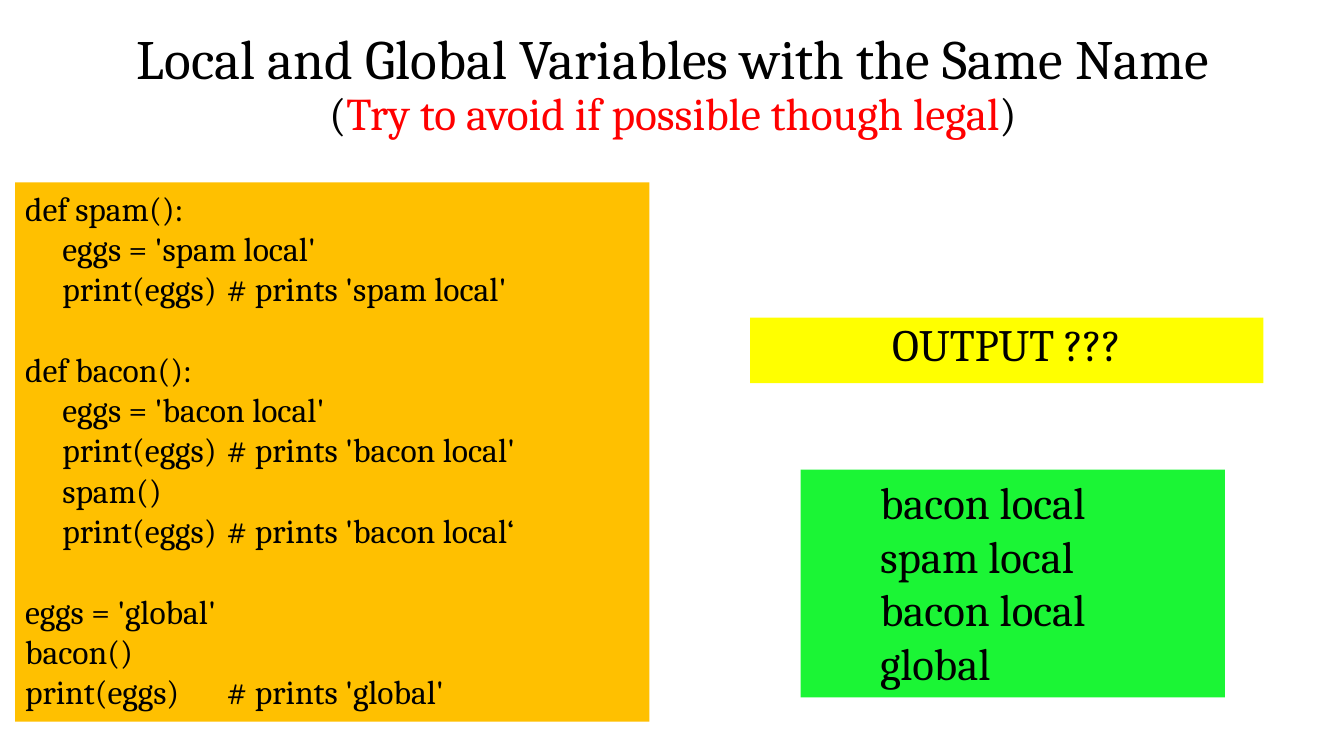
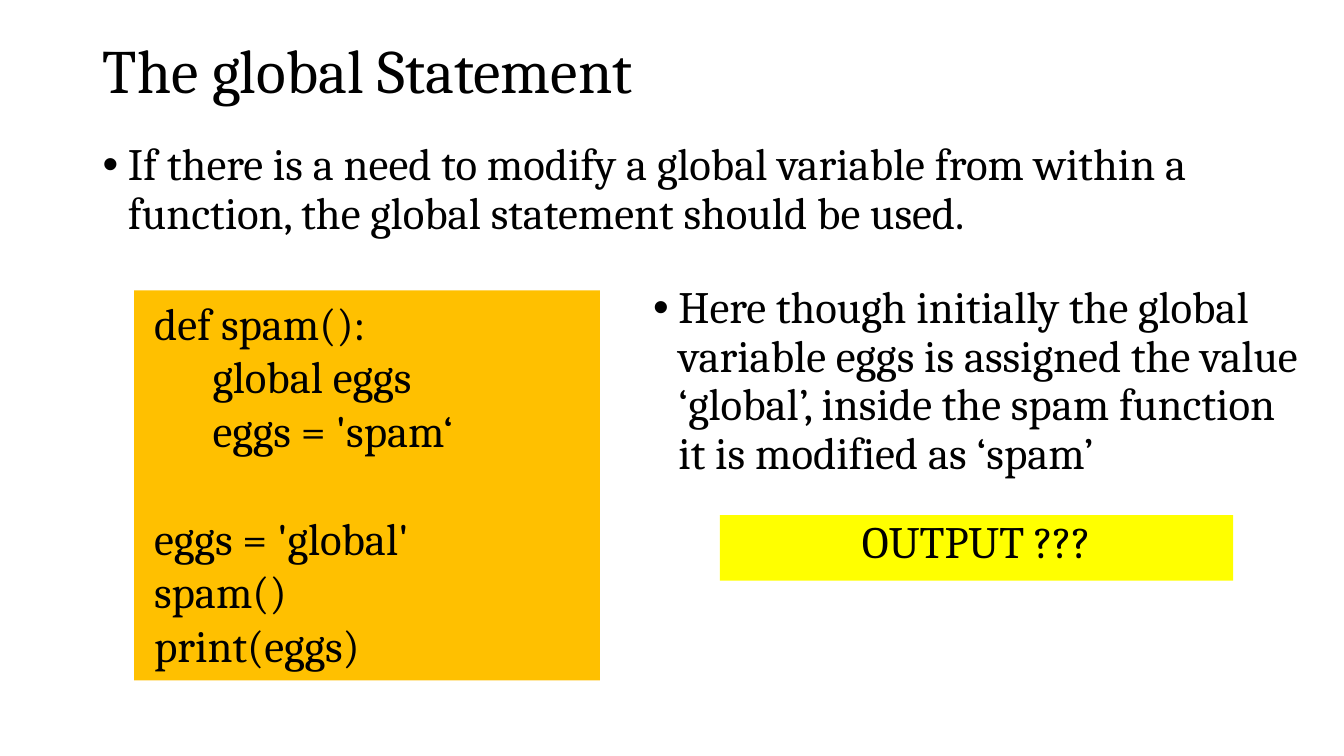
from dataclasses import dataclass

from lxml import etree
from pptx import Presentation
from pptx import util as u
from pptx.dml.color import RGBColor
from pptx.enum import shapes, text
from pptx.oxml.ns import qn

Inches, Pt = u.Inches, u.Pt
Align = text.PP_ALIGN


@dataclass(frozen=True)
class Theme:
    font: str = "Cambria"
    ink: str = "000000"
    alert: str = "FF0000"
    code: str = "FFC000"
    ask: str = "FFFF00"
    result: str = "1BF535"
    head: float = 44
    lead: float = 39.6
    note: float = 32.4
    body: float = 32
    small: float = 24
    tight: float = 0.9
    line: float = 1.2


T = Theme()


def place(shape, box):
    shape.left, shape.top, shape.width, shape.height = map(Inches, box)


def add_run(para, words, size, color=T.ink):
    run = para.add_run()
    run.text = words
    run.font.name = T.font
    run.font.size = Pt(size)
    run.font.color.rgb = RGBColor.from_string(color)


def setup(frame, anchor):
    frame.word_wrap = True
    frame.auto_size = text.MSO_AUTO_SIZE.NONE
    frame.vertical_anchor = anchor
    frame.margin_left = frame.margin_right = Inches(0.1)
    frame.margin_top = frame.margin_bottom = Inches(0.05)


def add_title(slide, box, lines, align):
    title = slide.shapes.title
    place(title, box)
    setup(title.text_frame, text.MSO_ANCHOR.MIDDLE)
    para = title.text_frame.paragraphs[0]
    para.alignment = align
    para.line_spacing = T.tight
    for row, runs in enumerate(lines):
        if row:
            para.add_line_break()
        for run in runs:
            add_run(para, *run)


def add_panel(slide, box, color):
    panel = slide.shapes.add_shape(shapes.MSO_SHAPE.RECTANGLE, *map(Inches, box))
    panel.shadow.inherit = False
    panel.fill.solid()
    panel.fill.fore_color.rgb = RGBColor.from_string(color)
    panel.line.fill.background()
    setup(panel.text_frame, text.MSO_ANCHOR.TOP)
    return panel.text_frame


def add_code(slide, box, color, blocks, size, base=0.0, step=0.0, tab=None):
    frame = add_panel(slide, box, color)
    rows = [(row, pos) for block in blocks for pos, row in enumerate(block)]
    for index, ((level, words), pos) in enumerate(rows):
        para = frame.add_paragraph() if index else frame.paragraphs[0]
        para.alignment = Align.LEFT
        if index and pos == 0:
            para.space_before = Pt(size * T.line)
        props = para._p.get_or_add_pPr()
        props.set("marL", "0")
        props.set("indent", str(Inches(base + level * step)))
        if tab:
            stops = etree.SubElement(props, qn("a:tabLst"))
            etree.SubElement(stops, qn("a:tab"), pos=str(Inches(tab)), algn="l")
        add_run(para, words, size)


def add_ask(slide, left, top):
    para = add_panel(slide, (left, top, 5.09, 0.65), T.ask).paragraphs[0]
    para.alignment = Align.CENTER
    para.line_spacing = T.tight
    add_run(para, "OUTPUT ???", T.body)


def add_bullet(slide, box, words):
    frame = slide.shapes.add_textbox(*map(Inches, box)).text_frame
    setup(frame, text.MSO_ANCHOR.TOP)
    para = frame.paragraphs[0]
    para.line_spacing = T.tight
    props = para._p.get_or_add_pPr()
    props.set("marL", str(Inches(0.25)))
    props.set("indent", str(Inches(-0.25)))
    color = etree.SubElement(props, qn("a:buClr"))
    etree.SubElement(color, qn("a:srgbClr"), val=T.ink)
    etree.SubElement(props, qn("a:buFont"), typeface="Arial")
    etree.SubElement(props, qn("a:buChar"), char="•")
    add_run(para, words, T.body)


def same_name(slide):
    add_title(slide, (0.28, 0.37, 12.79, 0.97), [
        [("Local and Global Variables with the Same Name", T.lead)],
        [("(", T.note),
         ("Try to avoid if possible though legal", T.note, T.alert),
         (")", T.note)],
    ], Align.CENTER)
    add_code(slide, (0.15, 1.81, 6.29, 5.35), T.code, [
        [(0, "def spam():"),
         (1, "eggs = 'spam local'"),
         (1, "print(eggs)\t# prints 'spam local'")],
        [(0, "def bacon():"),
         (1, "eggs = 'bacon local'"),
         (1, "print(eggs)\t# prints 'bacon local'"),
         (1, "spam()"),
         (1, "print(eggs)\t# prints 'bacon local‘")],
        [(0, "eggs = 'global'"),
         (0, "bacon()"),
         (0, "print(eggs)\t# prints 'global'")],
    ], T.small, step=0.37, tab=3.03)
    add_ask(slide, 7.44, 3.15)
    prints = ["bacon local", "spam local", "bacon local", "global"]
    add_code(slide, (7.94, 4.66, 4.21, 2.26), T.result,
             [[(0, words) for words in prints]], T.body, base=0.69)


def global_use(slide):
    add_title(slide, (0.92, 0.23, 11.5, 0.99),
              [[("The global Statement", T.head)]], Align.LEFT)
    add_bullet(slide, (0.92, 1.36, 11.5, 1.2),
               "If there is a need to modify a global variable from within a "
               "function, the global statement should be used.")
    add_code(slide, (1.33, 2.88, 4.62, 3.87), T.code, [
        [(0, "def spam():"), (1, "global eggs"), (1, "eggs = 'spam‘")],
        [(0, "eggs = 'global'"), (0, "spam()"), (0, "print(eggs)")],
    ], T.body, base=0.1, step=0.58)
    add_ask(slide, 7.14, 5.11)
    add_bullet(slide, (6.38, 2.78, 6.62, 2.29),
               "Here though initially the global variable eggs is assigned the "
               "value ‘global’, inside the spam function it is modified as ‘spam’")


def main():
    deck = Presentation()
    deck.slide_width, deck.slide_height = Inches(13.33), Inches(7.5)
    for build in (same_name, global_use):
        build(deck.slides.add_slide(deck.slide_layouts[5]))
    deck.save("out.pptx")


if __name__ == "__main__":
    main()
